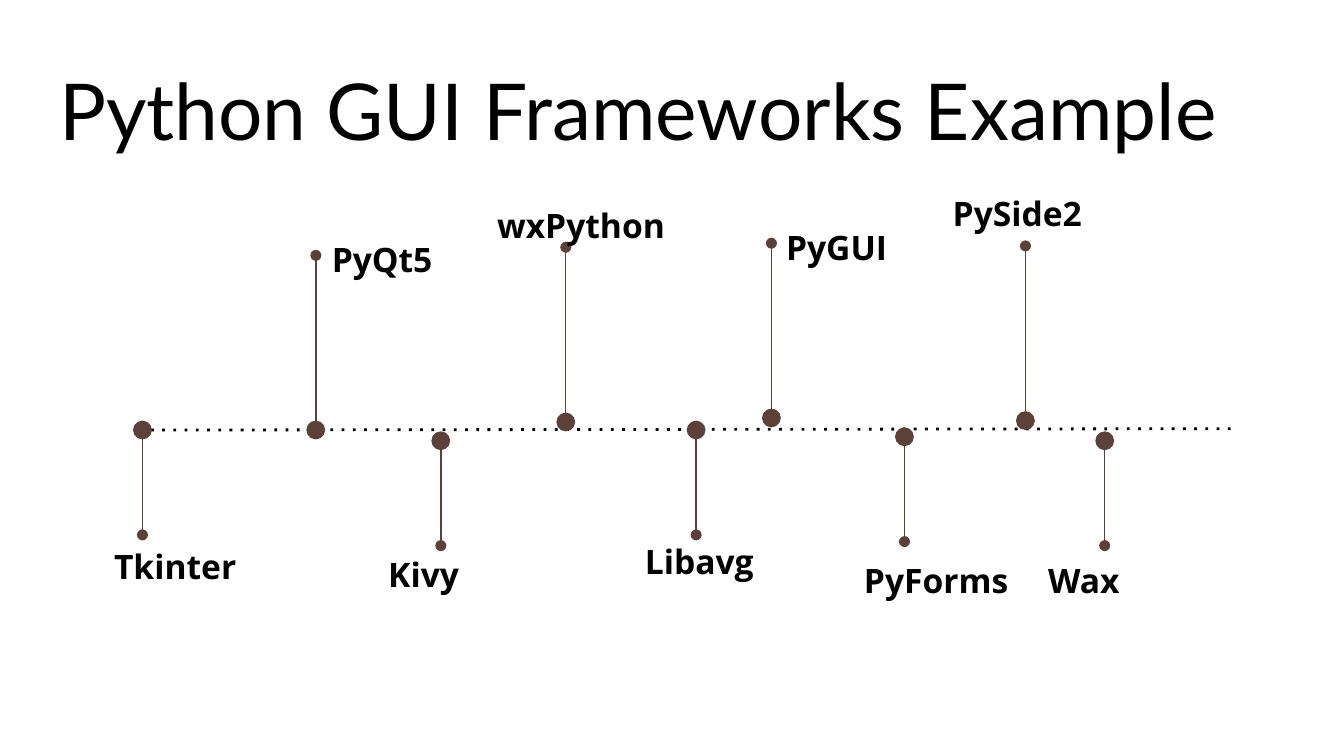
"""Build a timeline slide of Python GUI frameworks."""
from dataclasses import dataclass

from lxml.etree import SubElement
from pptx import Presentation
from pptx.dml.color import RGBColor
from pptx.enum.shapes import MSO_CONNECTOR, MSO_SHAPE
from pptx.enum.text import MSO_ANCHOR, MSO_AUTO_SIZE, PP_ALIGN
from pptx.oxml.ns import qn
from pptx.shapes.connector import Connector
from pptx.slide import Slide
from pptx.text.text import TextFrame
from pptx.util import Inches, Pt

COLORS = {"text": "000000", "axis": "000000", "marker": "5D4037"}
DOT = 0.14
STEM_UP = 1.23
STEM_DOWN = 0.71
LABEL_W = 2.38


@dataclass
class Framework:
    name: str
    x: float
    y: float
    up: bool
    label_x: float
    label_y: float
    label_h: float


FRAMEWORKS = [
    Framework("Tkinter", 1.06, 3.2, False, 0.75, 3.92, 1.32),
    Framework("PyQt5", 2.35, 3.2, True, 2.37, 1.63, 1.2),
    Framework("Kivy", 3.28, 3.28, False, 2.79, 3.98, 1.32),
    Framework("wxPython", 4.21, 3.14, True, 3.6, 1.38, 1.2),
    Framework("Libavg", 5.18, 3.2, False, 4.7, 3.88, 1.32),
    Framework("PyForms", 6.73, 3.25, False, 6.33, 4.02, 1.32),
    Framework("Wax", 8.22, 3.28, False, 7.7, 4.02, 0.63),
    Framework("PyGUI", 5.74, 3.11, True, 5.75, 1.54, 1.2),
    Framework("PySide2", 7.63, 3.13, True, 6.99, 1.29, 1.2),
]


def rgb(name: str) -> RGBColor:
    return RGBColor.from_string(COLORS[name])


def write(tf: TextFrame, text: str, font: str, size: float, bold: bool = False) -> None:
    tf.word_wrap = True
    tf.auto_size = MSO_AUTO_SIZE.NONE
    tf.margin_left = tf.margin_right = tf.margin_top = tf.margin_bottom = Inches(0.1)
    p = tf.paragraphs[0]
    p.alignment = PP_ALIGN.LEFT
    r = p.add_run()
    r.text = text
    r.font.name = font
    r.font.size = Pt(size)
    r.font.bold = bold
    r.font.color.rgb = rgb("text")


def add_line(s: Slide, x1: float, y1: float, x2: float, y2: float,
             color: str, width: float) -> Connector:
    cx = s.shapes.add_connector(MSO_CONNECTOR.STRAIGHT, Inches(x1), Inches(y1),
                                Inches(x2), Inches(y2))
    cx.line.color.rgb = rgb(color)
    cx.line.width = Pt(width)
    SubElement(cx._element.spPr, qn("a:effectLst"))
    return cx


def add_title(s: Slide, text: str) -> None:
    sp = s.shapes.title
    sp.left, sp.top, sp.width, sp.height = map(Inches, (0.34, 0.35, 9.32, 0.91))
    sp.text_frame.vertical_anchor = MSO_ANCHOR.BOTTOM
    write(sp.text_frame, text, "Lato", 42)


def add_framework(s: Slide, fw: Framework) -> None:
    sp = s.shapes.add_shape(MSO_SHAPE.OVAL, Inches(fw.x - DOT / 2), Inches(fw.y - DOT / 2),
                            Inches(DOT), Inches(DOT))
    sp.shadow.inherit = False
    sp.fill.solid()
    sp.fill.fore_color.rgb = rgb("marker")
    sp.line.fill.background()

    sign, length = (-1, STEM_UP) if fw.up else (1, STEM_DOWN)
    start = fw.y + sign * DOT / 2
    stem = add_line(s, fw.x, start, fw.x, start + sign * length, "marker", 0.75)
    SubElement(stem.line._get_or_add_ln(), qn("a:tailEnd"), type="oval")

    tb = s.shapes.add_textbox(Inches(fw.label_x), Inches(fw.label_y),
                              Inches(LABEL_W), Inches(fw.label_h))
    write(tb.text_frame, fw.name, "Open Sans", 18, bold=True)
    tb.text_frame.paragraphs[0].line_spacing = 1.15


def main() -> None:
    prs = Presentation()
    prs.slide_width = Inches(10)
    prs.slide_height = prs.slide_width * 9 // 16
    s = prs.slides.add_slide(prs.slide_layouts[5])
    add_title(s, "Python GUI Frameworks Example")
    axis = add_line(s, 1.04, 3.2, 9.21, 3.19, "axis", 1.5)
    SubElement(axis.line._get_or_add_ln(), qn("a:prstDash"), val="dot")
    for fw in FRAMEWORKS:
        add_framework(s, fw)
    prs.save("out.pptx")


if __name__ == "__main__":
    main()
